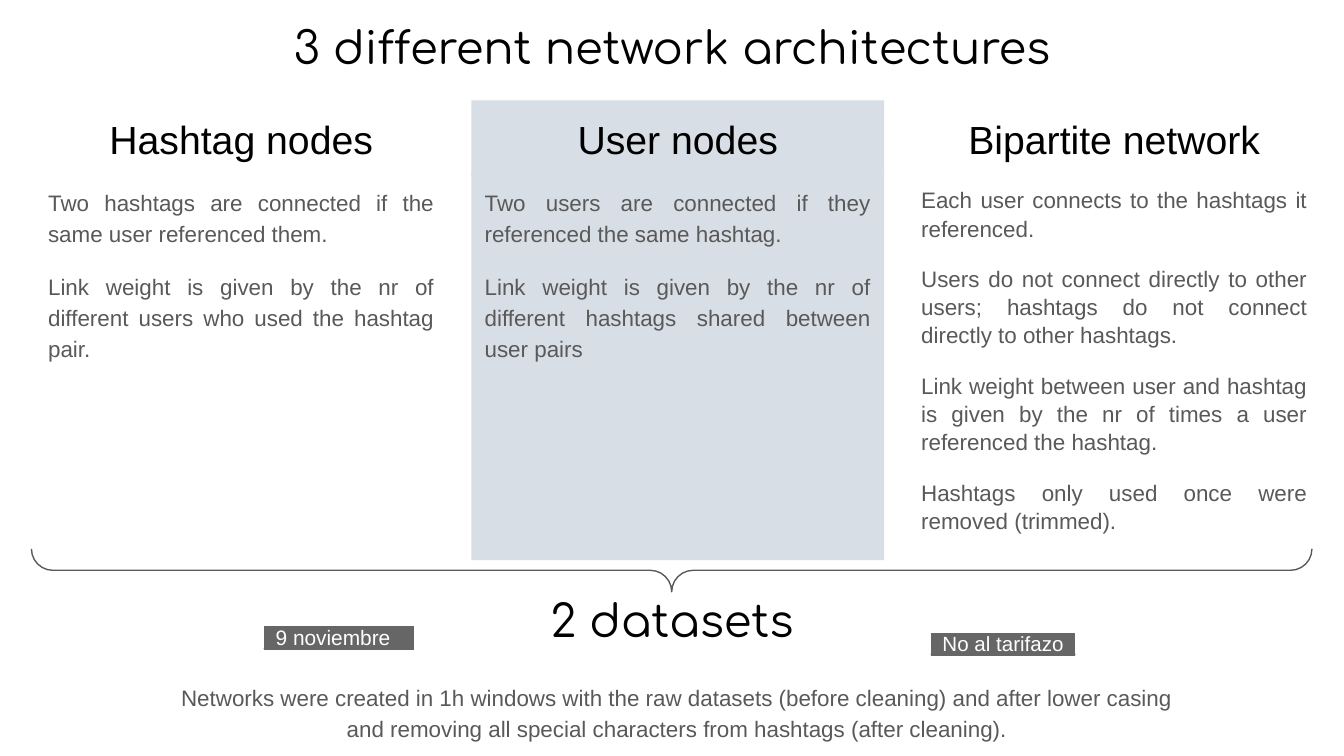
"""Build a slide comparing three network architectures and two datasets."""
from dataclasses import dataclass
from typing import Optional

from lxml.etree import SubElement
from pptx import Presentation
from pptx.dml.color import RGBColor as RGB
from pptx.enum.shapes import MSO_SHAPE as Shape
from pptx.enum.text import MSO_ANCHOR as Anchor, PP_ALIGN as Align
from pptx.oxml.ns import qn
from pptx.util import Cm, Pt


@dataclass(frozen=True)
class Theme:
    black: RGB = RGB(0x00, 0x00, 0x00)
    white: RGB = RGB(0xFF, 0xFF, 0xFF)
    body: RGB = RGB(0x59, 0x59, 0x59)
    label: RGB = RGB(0x66, 0x66, 0x66)
    panel: RGB = RGB(0xD8, 0xDE, 0xE5)
    sans: str = "Arial"
    display: str = "Comfortaa"
    heading_size: float = 24
    column_size: float = 21
    body_size: float = 12
    gap: float = 12


@dataclass(frozen=True)
class Box:
    left: float
    top: float
    width: float
    height: float


@dataclass(frozen=True)
class Style:
    font: str
    size: float
    color: RGB
    align: Align = Align.CENTER
    spacing: float = 1.0


@dataclass(frozen=True)
class Column:
    title: str
    paragraphs: tuple[str, ...]
    height: float
    spacing: float = 1.15
    fill: Optional[RGB] = None


@dataclass(frozen=True)
class Label:
    before: str
    name: str
    after: str
    left: float
    size: float
    spacing: float


THEME = Theme()
SLIDE_W, SLIDE_H = 25.4, 14.29
COLUMN_LEFT, COLUMN_PITCH, COLUMN_W = 0.66, 8.25, 7.8
TITLE_TOP, TITLE_H, BODY_TOP = 1.9, 1.42, 3.25
INSET = 0.25
HEADING = Style(THEME.display, THEME.heading_size, THEME.black)
COLUMN_TITLE = Style(THEME.sans, THEME.column_size, THEME.black)
NOTE = Style(THEME.sans, THEME.body_size, THEME.body, spacing=1.15)

COLUMNS = (
    Column("Hashtag nodes", (
        "Two hashtags are connected if the same user referenced them. ",
        "Link weight is given by the nr of different users who used the hashtag pair.",
    ), 6.2),
    Column("User nodes", (
        "Two users are connected if they referenced the same hashtag.",
        "Link weight is given by the nr of different hashtags shared between user pairs",
    ), 7.34, fill=THEME.panel),
    Column("Bipartite network", (
        "Each user connects to the hashtags it referenced. ",
        "Users do not connect directly to other users; hashtags do not connect "
        "directly to other hashtags.",
        "Link weight between user and hashtag is given by the nr of times a user "
        "referenced the hashtag.",
        "Hashtags only used once were removed (trimmed).",
    ), 7.57, spacing=1.05),
)
HEADINGS = (("3 different network architectures", 0.13), ("2 datasets", 10.95))
LABELS = (
    Label("_", "9 noviembre", "_<", 0.86, 11.2, 0.95),
    Label("_", "No al tarifazo", "_", 13.41, 11, 1.15),
)
NOTE_TEXT = (
    "Networks were created in 1h windows with the raw datasets (before cleaning) and "
    "after lower casing and removing all special characters from hashtags (after cleaning)."
)


def add_box(s, box: Box, anchor: Anchor = Anchor.TOP, fill: Optional[RGB] = None):
    """Add an empty wrapping text box and return its text frame."""
    sp = s.shapes.add_textbox(Cm(box.left), Cm(box.top), Cm(box.width), Cm(box.height))
    if fill is not None:
        sp.fill.solid()
        sp.fill.fore_color.rgb = fill
    tf = sp.text_frame
    tf.word_wrap = True
    tf.vertical_anchor = anchor
    tf.margin_left = tf.margin_right = tf.margin_top = tf.margin_bottom = Cm(INSET)
    return tf


def style_paragraph(p, style: Style) -> None:
    """Apply a style to a whole paragraph."""
    p.alignment = style.align
    p.line_spacing = style.spacing
    p.font.name = style.font
    p.font.size = Pt(style.size)
    p.font.color.rgb = style.color


def write(tf, paragraphs: tuple[str, ...], style: Style) -> None:
    """Write evenly separated paragraphs in one style."""
    for i, text in enumerate(paragraphs):
        p = tf.paragraphs[0] if i == 0 else tf.add_paragraph()
        p.text = text
        style_paragraph(p, style)
        if i:
            p.space_before = Pt(THEME.gap)


def add_column(s, index: int, column: Column) -> None:
    """Draw one architecture with its title above its description."""
    left = COLUMN_LEFT + index * COLUMN_PITCH
    body = Style(THEME.sans, THEME.body_size, THEME.body, Align.JUSTIFY, column.spacing)
    tf = add_box(s, Box(left, BODY_TOP, COLUMN_W, column.height), fill=column.fill)
    write(tf, column.paragraphs, body)
    tf = add_box(s, Box(left, TITLE_TOP, COLUMN_W, TITLE_H), Anchor.BOTTOM, column.fill)
    write(tf, (column.title,), COLUMN_TITLE)


def add_brace(s, box: Box) -> None:
    """Draw a brace whose tip points down; the box is its unrotated frame."""
    sp = s.shapes.add_shape(
        Shape.LEFT_BRACE, Cm(box.left), Cm(box.top), Cm(box.width), Cm(box.height))
    sp.rotation = 270
    sp.adjustments[0] = sp.adjustments[1] = 0.5
    sp.shadow.inherit = False
    sp.fill.background()
    sp.line.color.rgb = THEME.body
    sp.line.width = Pt(0.75)


def add_label(s, label: Label) -> None:
    """Draw a dataset name highlighted in grey."""
    p = add_box(s, Box(label.left, 11.61, 11.1, TITLE_H)).paragraphs[0]
    style_paragraph(p, Style(THEME.sans, label.size, THEME.label, spacing=label.spacing))
    parts = ((label.before, THEME.label), (label.name, THEME.white), (label.after, THEME.label))
    for text, color in parts:
        r = p.add_run()
        r.text = text
        r.font.color.rgb = color
        highlight = SubElement(r.font._element, qn("a:highlight"))
        SubElement(highlight, qn("a:srgbClr"), val=str(THEME.label))


def main() -> None:
    """Build and save the slide."""
    prs = Presentation()
    prs.slide_width, prs.slide_height = Cm(SLIDE_W), Cm(SLIDE_H)
    s = prs.slides.add_slide(prs.slide_layouts[6])
    for i, column in enumerate(COLUMNS):
        add_column(s, i, column)
    add_brace(s, Box(12.29, -1.32, 0.81, 24.2))
    for text, top in HEADINGS:
        write(add_box(s, Box(0, top, SLIDE_W, 1.55)), (text,), HEADING)
    for label in LABELS:
        add_label(s, label)
    write(add_box(s, Box(3.15, 12.6, 19.3, 1.63)), (NOTE_TEXT,), NOTE)
    prs.save("out.pptx")


if __name__ == "__main__":
    main()
